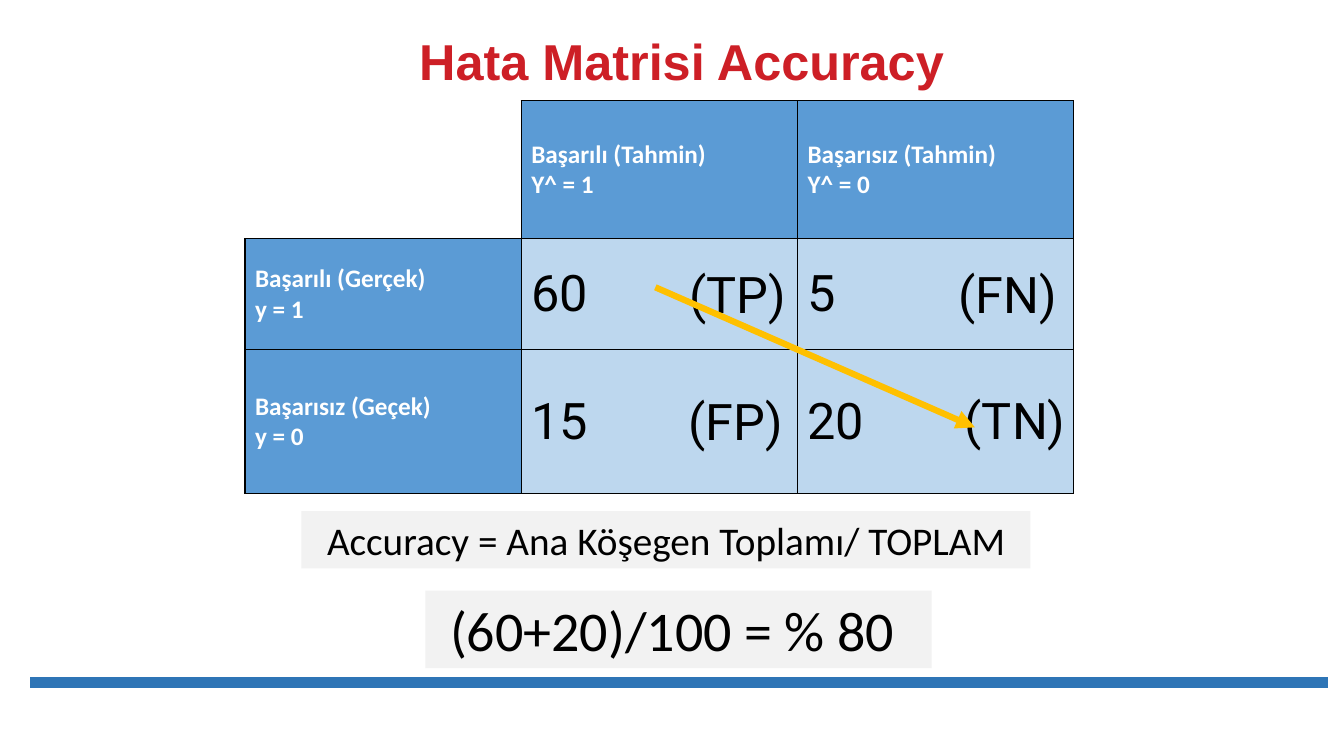
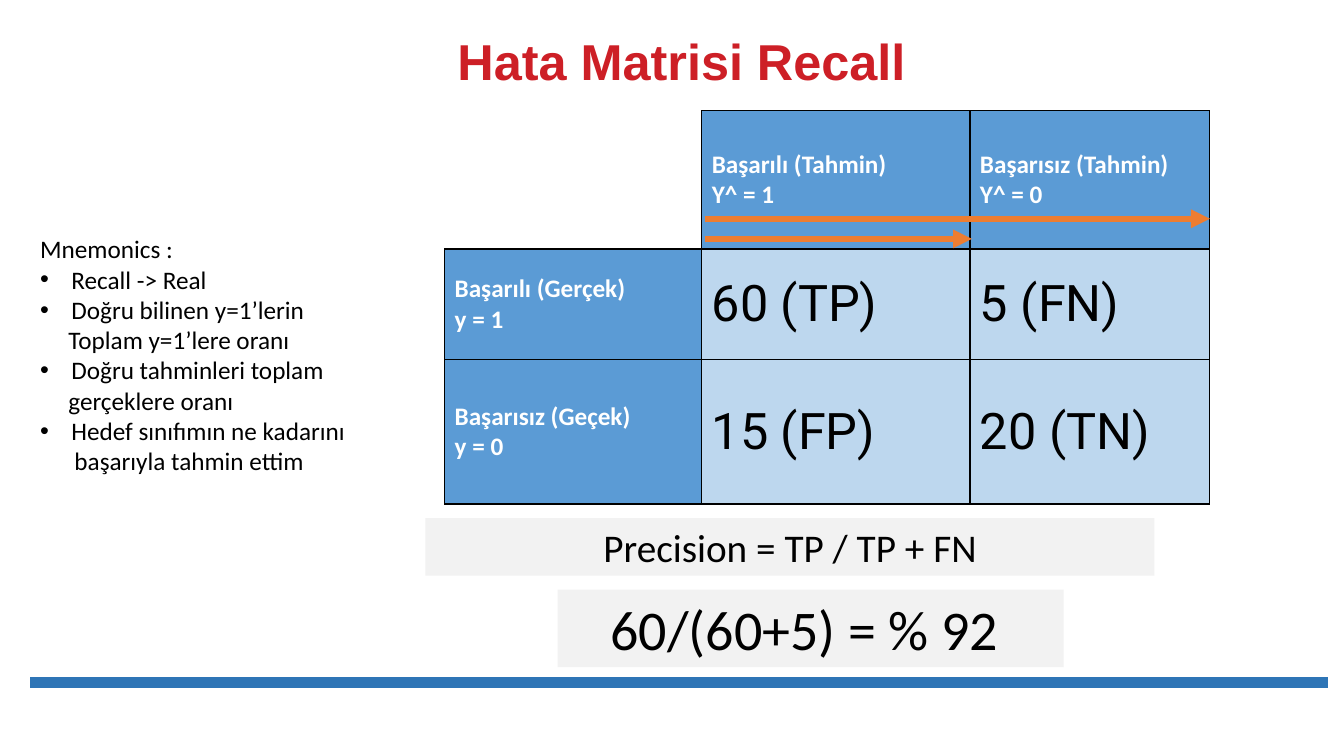
from dataclasses import dataclass

from lxml import etree
from pptx import Presentation
from pptx import util as u
from pptx.dml.color import RGBColor
from pptx.enum import shapes, text
from pptx.oxml import ns

COLORS = {
    "title": "CD1F26",
    "band": "2E75B6",
    "header": "5B9BD5",
    "value": "BDD7EE",
    "formula": "F2F2F2",
    "diagonal": "FFC000",
    "row_arrow": "ED7D31",
    "ink": "000000",
    "white": "FFFFFF",
}
ROW_HEIGHTS = (1.37, 1.1, 1.43)
PREDICTED = (("Başarılı (Tahmin)", "Y^ = 1"), ("Başarısız (Tahmin)", "Y^ = 0"))
ACTUAL = (("Başarılı (Gerçek)", "y = 1"), ("Başarısız (Geçek)", "y = 0"))


@dataclass(frozen=True)
class TextStyle:
    size: float
    font: str
    color: str = "ink"
    bold: bool = False


TITLE = TextStyle(36, "Arial", "title", True)
HEADER = TextStyle(18, "Calibri", "white", True)
VALUE = TextStyle(36, "Roboto")
RULE = TextStyle(28, "Calibri")
RESULT = TextStyle(40, "Calibri")
NOTE = TextStyle(18, "Calibri")


@dataclass(frozen=True)
class Box:
    left: float
    top: float
    width: float
    height: float

    def lengths(self) -> tuple:
        return tuple(u.Inches(n) for n in (self.left, self.top, self.width, self.height))


@dataclass(frozen=True)
class Matrix:
    left: float
    top: float
    columns: tuple
    values: tuple


@dataclass(frozen=True)
class Formula:
    box: Box
    wording: str
    style: TextStyle


@dataclass(frozen=True)
class Line:
    start: tuple
    end: tuple
    color: str
    width: float = 4.5
    arrow: bool = True


@dataclass(frozen=True)
class Label:
    left: float
    top: float
    width: float
    wording: str


@dataclass(frozen=True)
class Note:
    wording: str
    indent: float = 0
    bullet: bool = False


BAND = Line((0.3, 6.77), (13.17, 6.77), "band", 8, False)


def rgb(name: str) -> RGBColor:
    return RGBColor.from_string(COLORS[name])


def add_run(paragraph, wording: str, style: TextStyle) -> None:
    run = paragraph.add_run()
    run.text = wording
    run.font.size = u.Pt(style.size)
    run.font.name = style.font
    run.font.bold = style.bold
    run.font.color.rgb = rgb(style.color)


def write(frame, lines: tuple, style: TextStyle, align=text.PP_ALIGN.LEFT) -> None:
    for index, wording in enumerate(lines):
        paragraph = frame.add_paragraph() if index else frame.paragraphs[0]
        paragraph.alignment = align
        add_run(paragraph, wording, style)


def add_line(slide, line: Line) -> None:
    connector = slide.shapes.add_connector(
        shapes.MSO_CONNECTOR.STRAIGHT,
        *(u.Inches(n) for n in line.start + line.end))
    connector.line.color.rgb = rgb(line.color)
    connector.line.width = u.Pt(line.width)
    if line.arrow:
        outline = connector.line._get_or_add_ln()
        etree.SubElement(outline, ns.qn("a:tailEnd"), type="triangle")
    etree.SubElement(connector._element.spPr, ns.qn("a:effectLst"))


def add_titled_slide(presentation, title: str):
    slide = presentation.slides.add_slide(presentation.slide_layouts[5])
    shape = slide.shapes.title
    shape.left, shape.top, shape.width, shape.height = Box(2.15, 0.31, 9.22, 0.65).lengths()
    frame = shape.text_frame
    frame.auto_size = text.MSO_AUTO_SIZE.NONE
    frame.vertical_anchor = text.MSO_ANCHOR.MIDDLE
    write(frame, (title,), TITLE, text.PP_ALIGN.CENTER)
    frame.paragraphs[0].line_spacing = 0.9
    add_line(slide, BAND)
    return slide


def add_borders(cell, sides: str) -> None:
    properties = cell._tc.get_or_add_tcPr()
    for side in sides:
        border = etree.SubElement(properties, ns.qn(f"a:ln{side}"), w=str(u.Pt(1)))
        fill = etree.SubElement(border, ns.qn("a:solidFill"))
        etree.SubElement(fill, ns.qn("a:srgbClr"), val=COLORS["ink"])


def fill_cell(cell, lines: tuple, style: TextStyle, color: str) -> None:
    add_borders(cell, "LRTB")
    cell.fill.solid()
    cell.fill.fore_color.rgb = rgb(color)
    cell.vertical_anchor = text.MSO_ANCHOR.MIDDLE
    write(cell.text_frame, lines, style)


def add_matrix(slide, matrix: Matrix) -> None:
    box = Box(matrix.left, matrix.top, sum(matrix.columns), sum(ROW_HEIGHTS))
    table = slide.shapes.add_table(3, 3, *box.lengths()).table
    table.first_row = table.horz_banding = False
    for column, width in zip(table.columns, matrix.columns):
        column.width = u.Inches(width)
    for row, height in zip(table.rows, ROW_HEIGHTS):
        row.height = u.Inches(height)
    corner = table.cell(0, 0)
    add_borders(corner, "RB")
    corner.fill.background()
    for index in range(2):
        fill_cell(table.cell(0, index + 1), PREDICTED[index], HEADER, "header")
        fill_cell(table.cell(index + 1, 0), ACTUAL[index], HEADER, "header")
        for column, value in enumerate(matrix.values[index], 1):
            fill_cell(table.cell(index + 1, column), (value,), VALUE, "value")


def add_formula(slide, formula: Formula) -> None:
    shape = slide.shapes.add_shape(shapes.MSO_SHAPE.RECTANGLE, *formula.box.lengths())
    shape.shadow.inherit = False
    shape.fill.solid()
    shape.fill.fore_color.rgb = rgb("formula")
    shape.line.fill.background()
    write(shape.text_frame, (formula.wording,), formula.style, text.PP_ALIGN.CENTER)


def add_text_box(slide, box: Box):
    frame = slide.shapes.add_textbox(*box.lengths()).text_frame
    frame.word_wrap = False
    frame.auto_size = text.MSO_AUTO_SIZE.SHAPE_TO_FIT_TEXT
    return frame


def add_label(slide, label: Label) -> None:
    frame = add_text_box(slide, Box(label.left, label.top, label.width, 0.71))
    write(frame, (label.wording,), VALUE)


def add_notes_list(slide, box: Box, notes: tuple) -> None:
    frame = add_text_box(slide, box)
    write(frame, tuple(note.wording for note in notes), NOTE)
    for paragraph, note in zip(frame.paragraphs, notes):
        properties = paragraph._p.get_or_add_pPr()
        properties.set("marL", str(u.Inches(note.indent)))
        if note.bullet:
            properties.set("indent", str(-u.Inches(note.indent)))
            etree.SubElement(properties, ns.qn("a:buFont"), typeface="Arial")
            etree.SubElement(properties, ns.qn("a:buChar"), char="•")


def build_accuracy(presentation) -> None:
    slide = add_titled_slide(presentation, "Hata Matrisi Accuracy")
    add_matrix(slide, Matrix(2.43, 1, (2.74,) * 3, (("60", "5"), ("15", "20"))))
    for label in (
        Label(6.74, 2.56, 1.18, "(TP)"),
        Label(9.47, 3.81, 1.21, "(TN)"),
        Label(9.41, 2.56, 1.21, "(FN)"),
        Label(6.73, 3.82, 1.18, "(FP)"),
    ):
        add_label(slide, label)
    for formula in (
        Formula(Box(2.99, 5.07, 7.23, 0.57), "Accuracy = Ana Köşegen Toplamı/ TOPLAM", RULE),
        Formula(Box(4.22, 5.86, 5.02, 0.77), "(60+20)/100 = % 80 ", RESULT),
    ):
        add_formula(slide, formula)
    add_line(slide, Line((6.5, 2.85), (9.67, 4.24), "diagonal"))


def build_recall(presentation) -> None:
    slide = add_titled_slide(presentation, "Hata Matrisi Recall")
    values = (("60 (TP)", "5 (FN)"), ("15 (FP)", "20 (TN)"))
    add_matrix(slide, Matrix(4.41, 1.1, (2.55, 2.66, 2.38), values))
    for formula in (
        Formula(Box(4.22, 5.14, 7.23, 0.57), "Precision = TP / TP + FN", RULE),
        Formula(Box(5.53, 5.85, 5.02, 0.77), "60/(60+5) = % 92 ", RESULT),
    ):
        add_formula(slide, formula)
    for right, height in ((9.64, 2.37), (12, 2.17)):
        add_line(slide, Line((6.99, height), (right, height), "row_arrow"))
    add_notes_list(slide, Box(0.3, 2.27, 3.32, 2.52), (
        Note("Mnemonics :"),
        Note("Recall -> Real", 0.31, True),
        Note("Doğru bilinen y=1’lerin", 0.31, True),
        Note("Toplam y=1’lere oranı", 0.28),
        Note("Doğru tahminleri toplam", 0.31, True),
        Note("gerçeklere oranı", 0.28),
        Note("Hedef sınıfımın ne kadarını", 0.31, True),
        Note("başarıyla tahmin ettim", 0.34),
    ))


def main() -> None:
    presentation = Presentation()
    presentation.slide_width = u.Inches(13.33)
    presentation.slide_height = u.Inches(7.5)
    build_accuracy(presentation)
    build_recall(presentation)
    presentation.save("out.pptx")


main()
